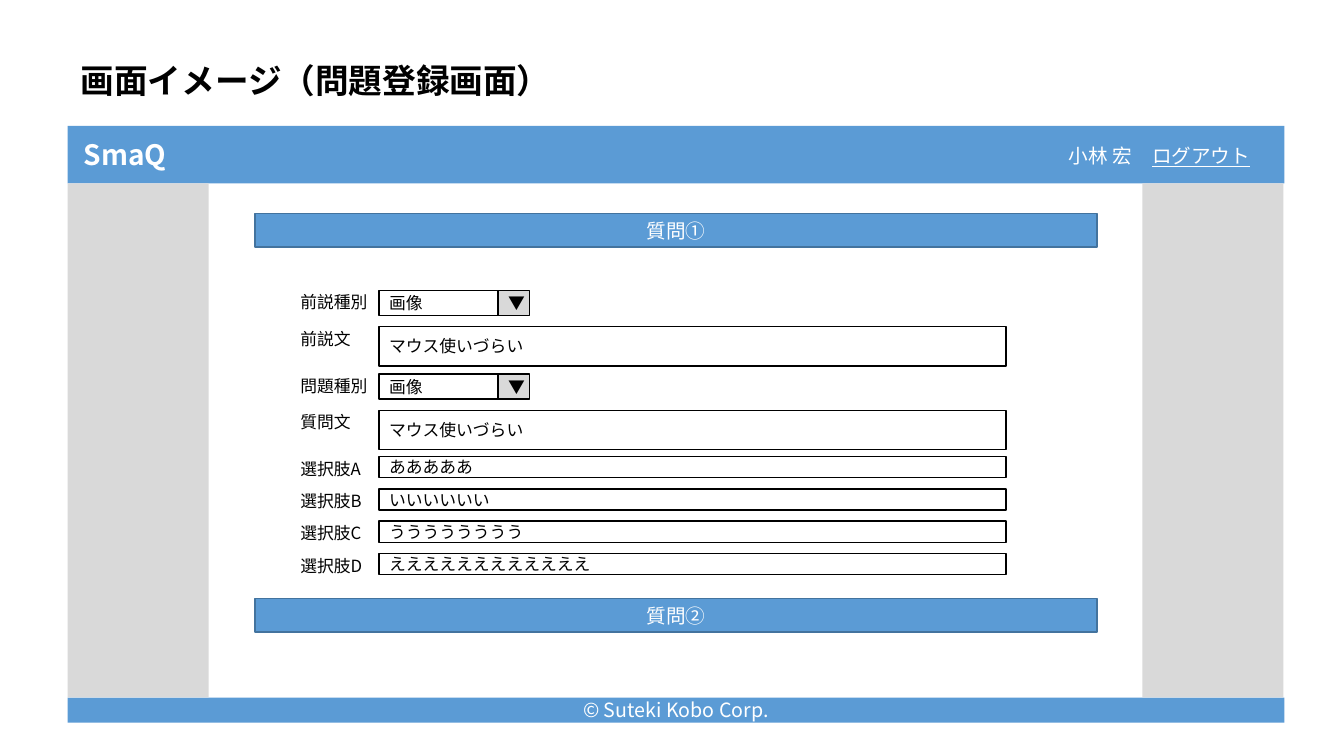
from lxml import etree
from pptx import Presentation
from pptx.dml.color import RGBColor
from pptx.enum.shapes import MSO_SHAPE
from pptx.enum.text import MSO_ANCHOR, MSO_AUTO_SIZE, PP_ALIGN
from pptx.oxml.ns import qn
from pptx.util import Inches, Pt

RECTANGLE = MSO_SHAPE.RECTANGLE
TOP, MIDDLE = MSO_ANCHOR.TOP, MSO_ANCHOR.MIDDLE
LEFT, CENTER, RIGHT = PP_ALIGN.LEFT, PP_ALIGN.CENTER, PP_ALIGN.RIGHT
NO_AUTOFIT = MSO_AUTO_SIZE.NONE

TYPEFACE = "Noto Sans CJK JP"
BLUE, DARK_BLUE, GRAY = "5B9BD5", "43739E", "D9D9D9"
WHITE, BLACK = "FFFFFF", "000000"

SCREEN_LEFT, SCREEN_WIDTH = 0.67, 12.07
BODY_TOP, BODY_HEIGHT = 1.82, 5.1
LABEL_LEFT, FIELD_LEFT = 2.88, 3.76
FIELD_WIDTH, SELECT_WIDTH = 6.22, 1.18

# Field heights by kind
FIELD_HEIGHTS = {"select": 0.25, "area": 0.39, "line": 0.21}
CHOICES = ["あああああ", "いいいいいい", "うううううううう", "ええええええええええええ"]


def color(hex_code):
    return RGBColor.from_string(hex_code)


def write_text(shape, runs, size=12, text_color=BLACK, align=LEFT, anchor=MIDDLE):
    """Write runs given as (text, format values) pairs in one paragraph."""
    frame = shape.text_frame
    frame_format = {"word_wrap": True, "auto_size": NO_AUTOFIT, "vertical_anchor": anchor,
                    "margin_left": Inches(0.1), "margin_right": Inches(0.1),
                    "margin_top": Inches(0.05), "margin_bottom": Inches(0.05)}
    for name, value in frame_format.items():
        setattr(frame, name, value)
    paragraph = frame.paragraphs[0]
    paragraph.alignment = align
    for text, extra in runs:
        run = paragraph.add_run()
        run.text = text
        run.font.color.rgb = color(text_color)
        for name, value in {"name": TYPEFACE, "size": Pt(size), **extra}.items():
            setattr(run.font, name, value)
        # Japanese characters take the East Asian typeface
        east_asian = etree.SubElement(run.font._element, qn("a:ea"))
        east_asian.set("typeface", TYPEFACE)


def add_box(slide, left, top, width, height, fill, line=None):
    shape = slide.shapes.add_shape(
        RECTANGLE, Inches(left), Inches(top), Inches(width), Inches(height))
    shape.shadow.inherit = False
    shape.fill.solid()
    shape.fill.fore_color.rgb = color(fill)
    if line:
        shape.line.color.rgb = color(line)
        shape.line.width = Pt(1)
    else:
        shape.line.fill.background()
    return shape


def add_label(slide, left, top, width, height, runs, **text_format):
    box = slide.shapes.add_textbox(
        Inches(left), Inches(top), Inches(width), Inches(height))
    write_text(box, runs, anchor=TOP, **text_format)


def add_title(slide, text):
    title = slide.shapes.title
    title.left, title.top = Inches(0.7), Inches(0.54)
    title.width, title.height = Inches(7.69), Inches(0.5)
    write_text(title, [(text, {"bold": True})], size=24, anchor=TOP)


def add_question_bar(slide, top, text):
    bar = add_box(slide, 2.53, top, 8.35, 0.33, BLUE, DARK_BLUE)
    write_text(bar, [(text, {})], size=14, text_color=WHITE, align=CENTER)


def add_form_row(slide, top, label, kind, value):
    height = FIELD_HEIGHTS[kind]
    width = SELECT_WIDTH if kind == "select" else FIELD_WIDTH
    field = add_box(slide, FIELD_LEFT, top, width, height, WHITE, BLACK)
    write_text(field, [(value, {})])
    add_label(slide, LABEL_LEFT, top - 0.03, 1.39, 0.3, [(label, {})])
    if kind == "select":
        button = add_box(slide, FIELD_LEFT + width, top, 0.31, height, GRAY, BLACK)
        write_text(button, [("▼", {})], align=CENTER)


def main():
    presentation = Presentation()
    presentation.slide_width = Inches(13.33)
    presentation.slide_height = Inches(7.5)
    slide = presentation.slides.add_slide(presentation.slide_layouts[5])
    add_title(slide, "画面イメージ（問題登録画面）")

    # Screen header and footer
    header = add_box(slide, SCREEN_LEFT, 1.25, SCREEN_WIDTH, 0.57, BLUE)
    write_text(header, [("SmaQ", {"bold": True})], size=20, text_color=WHITE)
    header.text_frame.margin_left = Inches(0.16)
    footer = add_box(slide, SCREEN_LEFT, BODY_TOP + BODY_HEIGHT, SCREEN_WIDTH, 0.25, BLUE)
    write_text(footer, [("© Suteki Kobo Corp.", {})], size=14, text_color=WHITE, align=CENTER)
    add_label(slide, 8.26, 1.38, 4.24, 0.34,
              [("小林 宏　", {}), ("ログアウト", {"underline": True})],
              size=14, text_color=WHITE, align=RIGHT)

    # Side margins of the screen
    for left in (SCREEN_LEFT, 11.33):
        add_box(slide, left, BODY_TOP, 1.4, BODY_HEIGHT, GRAY)

    # Question headings
    add_question_bar(slide, 2.12, "質問①")
    add_question_bar(slide, 5.94, "質問②")

    # Form: two type and text pairs, then the choices
    pairs = [("前説種別", "前説文"), ("問題種別", "質問文")]
    for index, (type_label, text_label) in enumerate(pairs):
        top = 2.88 + 0.83 * index
        add_form_row(slide, top, type_label, "select", "画像")
        add_form_row(slide, top + 0.36, text_label, "area", "マウス使いづらい")
    for index, (letter, value) in enumerate(zip("ABCD", CHOICES)):
        add_form_row(slide, 4.53 + 0.32 * index, f"選択肢{letter}", "line", value)

    presentation.save("out.pptx")


if __name__ == "__main__":
    main()
